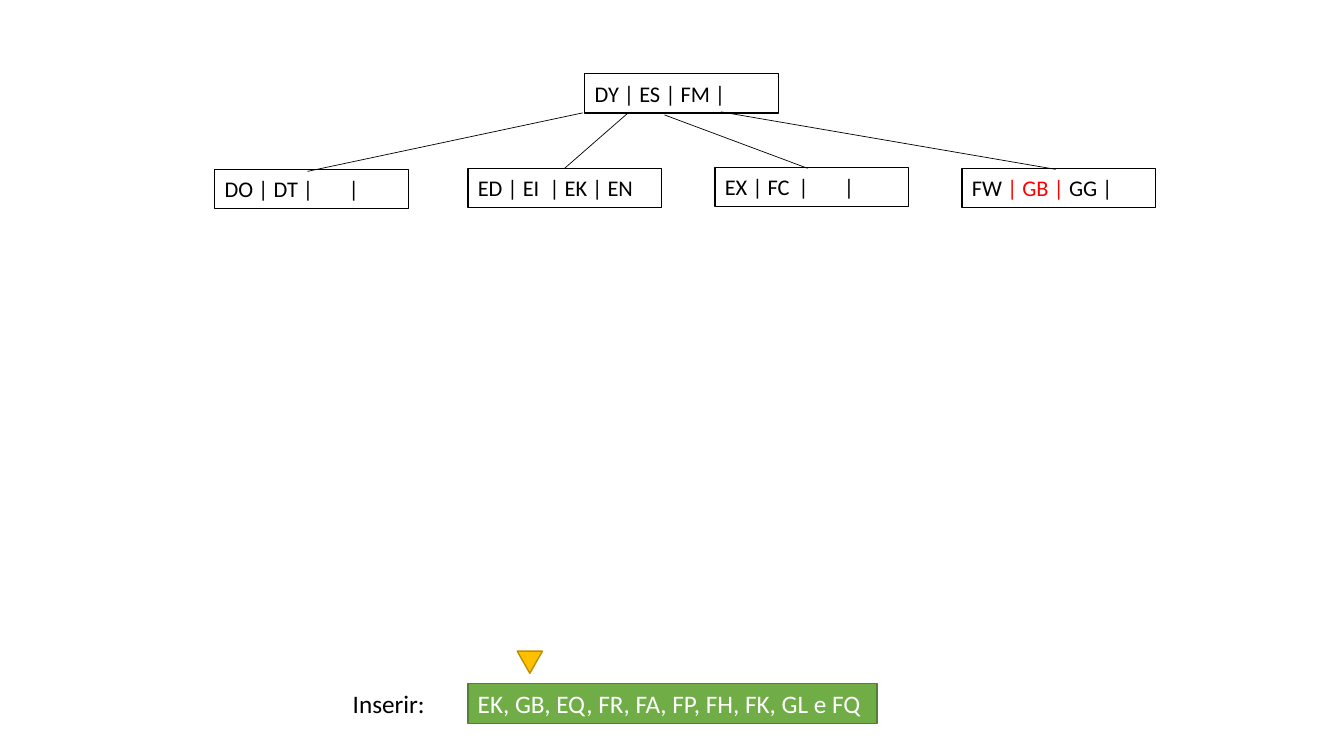
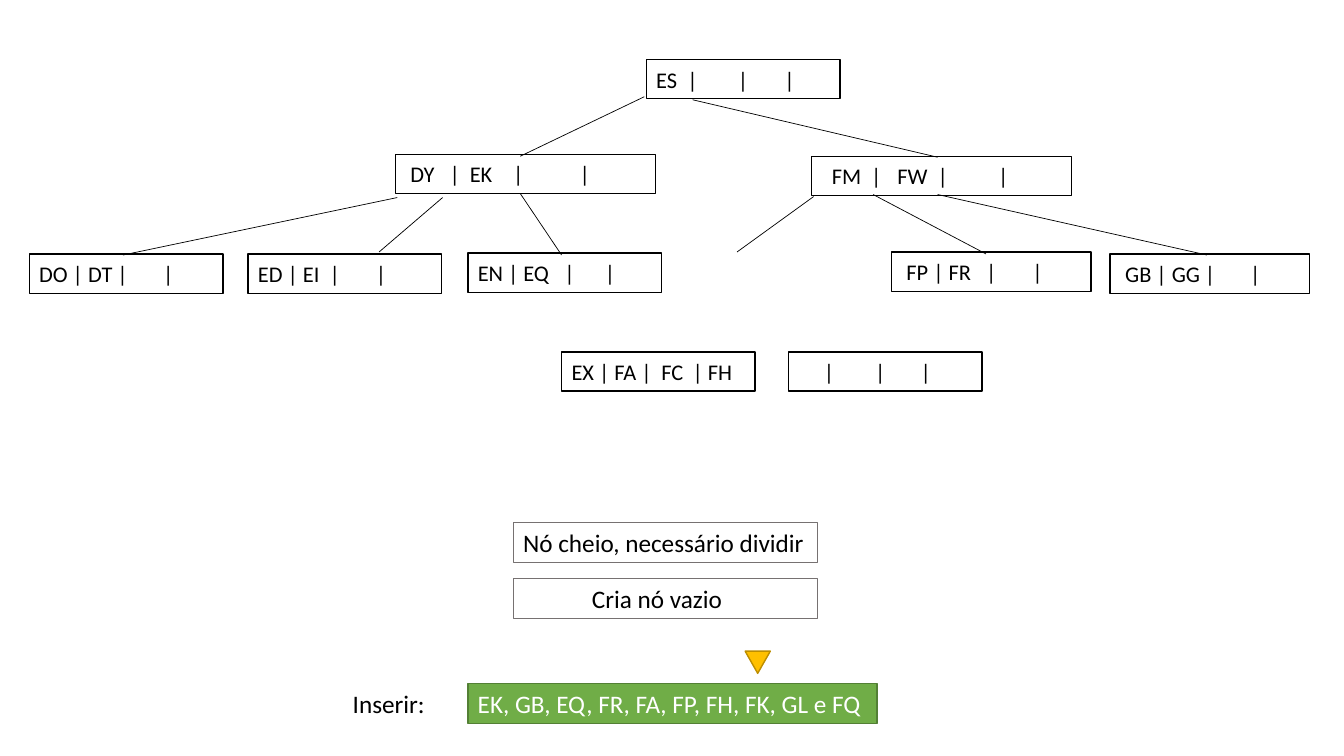
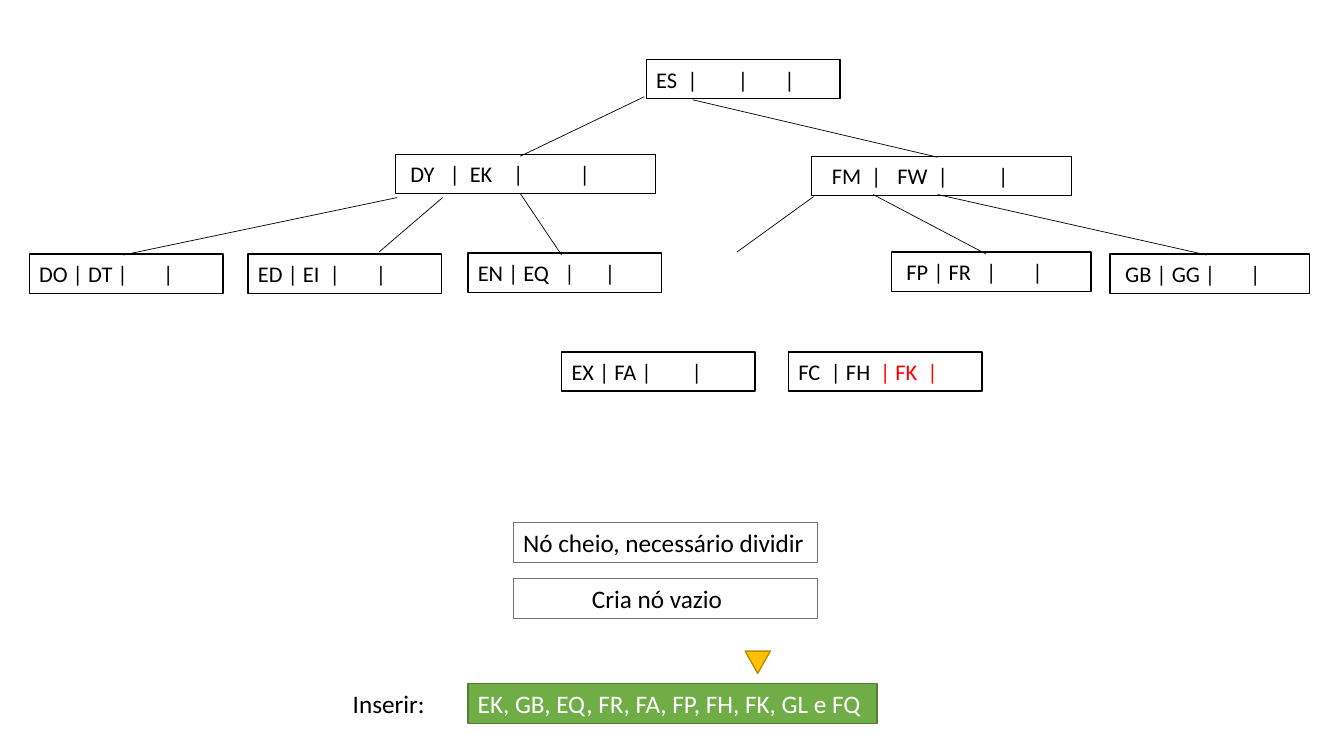
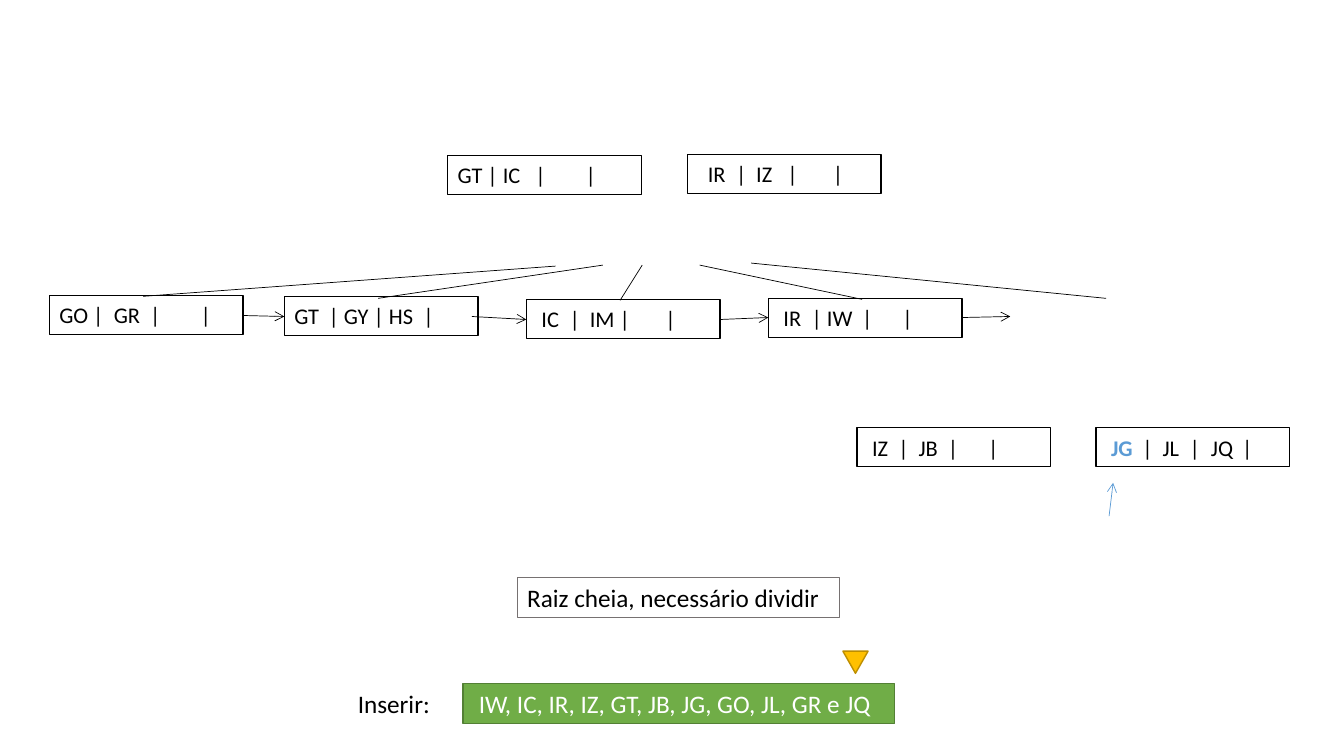
from pptx import Presentation
from pptx.dml.color import RGBColor
from pptx.enum.shapes import MSO_CONNECTOR, MSO_SHAPE
from pptx.enum.text import MSO_ANCHOR, PP_ALIGN
from pptx.oxml.ns import qn
from pptx.util import Emu, Pt
from lxml.etree import SubElement

PX = 9144  # 100 px to the inch
FONT = "Calibri"
BLACK, WHITE, RED, BLUE = "000000", "FFFFFF", "FF0000", "5B9BD5"
GREEN, DARK_GREEN = "70AD47", "538035"
AMBER, DARK_AMBER, GREY = "FFC000", "BD8E00", "767171"
NODE_HEIGHT, BAR_HEIGHT, INSET = 39, 40, 10
BAR_TOP, MARKER_TOP = 678, 646

# Node: left, top, width, text, indent, tab stops, optional (highlighted part, colour, bold)
# Edge: x1, y1, x2, y2
FIRST_KEYS = {"text": "EK, GB, EQ, FR, FA, FP, FH, FK, GL e FQ",
              "left": 464, "width": 406, "indent": 0, "label_left": 340}
LAST_KEYS = {"text": "IW, IC, IR, IZ, GT, JB, JG, GO, JL, GR e JQ",
             "left": 459, "width": 428, "indent": 6, "label_left": 345}

SPLIT_NODES = [
    (641, 59, 192, "ES\t|\t|\t|", 0, (31, 81, 127)),
    (392, 153, 258, "DY\t|\tEK\t|\t|", 5, (39, 59, 102, 168)),
    (805, 155, 258, "FM\t|\tFW\t|\t|", 10, (39, 65, 105, 165)),
    (29, 252, 192, "DO | DT |\t|", 0, (123,)),
    (246, 252, 192, "ED | EI\t|\t|", 0, (71, 117)),
    (464, 251, 192, "EN | EQ\t|\t|", 0, (86, 126)),
    (884, 250, 198, "FP | FR\t|\t|", 5, (79, 125)),
    (1101, 252, 198, "GB | GG |\t|", 5, (124,)),
]
SPLIT_EDGES = [
    (639, 96, 516, 155), (687, 99, 930, 156),
    (394, 196, 122, 253), (439, 196, 376, 250), (516, 192, 557, 253),
    (807, 195, 731, 250), (866, 193, 978, 252), (930, 193, 1197, 253),
]
SPLIT_NOTES = [
    (509, 518, 302, "Nó cheio, necessário dividir", 0),
    (509, 574, 302, "Cria nó vazio", 68),
]

SLIDES = [
    {"keys": FIRST_KEYS, "marker": 513,
     "nodes": [
         (580, 73, 192, "DY | ES | FM |", 0, ()),
         (213, 168, 192, "DO | DT |\t|", 0, (123,)),
         (464, 167, 192, "ED | EI\t| EK | EN", 0, (71,)),
         (709, 166, 192, "EX | FC\t|\t|", 0, (73, 118)),
         (954, 167, 192, "FW | GB | GG |", 0, (), ("| GB |", RED, False)),
     ],
     "edges": [(578, 112, 305, 170), (623, 112, 560, 167),
               (659, 114, 801, 167), (715, 111, 1047, 168)]},
    {"keys": FIRST_KEYS, "marker": 739,
     "nodes": SPLIT_NODES + [
         (557, 349, 192, "EX | FA |\tFC\t| FH", 0, (89, 120)),
         (782, 349, 192, "|\t|\t|", 25, (51, 96)),
     ],
     "edges": SPLIT_EDGES, "notes": SPLIT_NOTES},
    {"keys": FIRST_KEYS, "marker": 739,
     "nodes": SPLIT_NODES + [
         (557, 349, 192, "EX | FA |\t|", 0, (119,)),
         (782, 349, 192, "FC\t| FH\t| FK\t|", 0, (32, 81, 128), ("| FK\t|", RED, False)),
     ],
     "edges": SPLIT_EDGES, "notes": SPLIT_NOTES},
    {"keys": LAST_KEYS, "marker": 836,
     "nodes": [
         (444, 154, 192, "GT | IC\t|\t|", 0, (77, 127)),
         (682, 153, 192, "IR\t|\tIZ\t|\t|", 10, (28, 48, 79, 124)),
         (49, 293, 192, "GO |\tGR\t|\t|", 0, (54, 90, 140)),
         (282, 294, 192, "GT\t| GY | HS\t|", 0, (34, 128)),
         (522, 297, 192, "IC\t|\tIM |\t|", 5, (28, 48, 123)),
         (762, 296, 192, "IR\t| IW\t|\t|", 5, (28, 78, 118)),
         (850, 424, 192, "IZ\t|\tJB\t|\t|", 5, (26, 46, 75, 115)),
         (1087, 424, 192, "JG\t|\tJL\t|\tJQ\t|", 5, (31, 51, 78, 99, 130),
          ("JG", BLUE, True)),
     ],
     "edges": [(551, 264, 142, 294), (598, 263, 375, 296), (637, 263, 615, 298),
               (694, 263, 855, 297), (745, 261, 1097, 296)],
     "arrows": [(241, 313, 282, 314, BLACK), (468, 314, 522, 317, BLACK),
                (714, 317, 762, 315, BLACK), (954, 315, 1002, 314, BLACK),
                (1100, 512, 1104, 479, BLUE)],
     "notes": [(513, 573, 320, "Raiz cheia, necessário dividir", 0)]},
]


def px(*lengths):
    return [Emu(length * PX) for length in lengths]


def color(hex_value):
    return RGBColor.from_string(hex_value)


def write(shape, text, size, text_color, indent=0, stops=(), highlight=("", None, False)):
    """Set one line of text with tab stops and an optional highlighted part."""
    frame = shape.text_frame
    frame.word_wrap = True
    frame.vertical_anchor = MSO_ANCHOR.MIDDLE
    frame.margin_left, frame.margin_right = px(INSET + indent, 0)
    paragraph = frame.paragraphs[0]
    paragraph.alignment = PP_ALIGN.LEFT
    if stops:
        tab_list = SubElement(paragraph._p.get_or_add_pPr(), qn("a:tabLst"))
        for stop in stops:
            SubElement(tab_list, qn("a:tab"), pos=str(stop * PX), algn="l")
    part, part_color, part_bold = highlight
    before, part, after = text.partition(part) if part else (text, "", "")
    for piece, piece_color, bold in ((before, text_color, False),
                                     (part, part_color, part_bold),
                                     (after, text_color, False)):
        if piece:
            run = paragraph.add_run()
            run.text = piece
            run.font.name, run.font.size, run.font.bold = FONT, Pt(size), bold
            run.font.color.rgb = color(piece_color)


def add_box(slide, left, top, width, height, fill, line, weight=1, kind=MSO_SHAPE.RECTANGLE):
    shape = slide.shapes.add_shape(kind, *px(left, top, width, height))
    shape.shadow.inherit = False
    if fill:
        shape.fill.solid()
        shape.fill.fore_color.rgb = color(fill)
    else:
        shape.fill.background()
    shape.line.color.rgb = color(line)
    shape.line.width = Pt(weight)
    return shape


def add_line(slide, x1, y1, x2, y2, line_color=BLACK, arrow=False):
    connector = slide.shapes.add_connector(MSO_CONNECTOR.STRAIGHT, *px(x1, y1, x2, y2))
    connector.line.color.rgb = color(line_color)
    connector.line.width = Pt(0.5)
    if arrow:
        SubElement(connector.line._get_or_add_ln(), qn("a:tailEnd"), type="arrow")
    SubElement(connector._element.spPr, qn("a:effectLst"))


def add_key_bar(slide, keys, marker_left):
    """Draw the list of keys to insert, its label and the marker of the current key."""
    bar = add_box(slide, keys["left"], BAR_TOP, keys["width"], BAR_HEIGHT, GREEN, DARK_GREEN)
    write(bar, keys["text"], 18, WHITE, keys["indent"])
    label = slide.shapes.add_textbox(*px(keys["label_left"], BAR_TOP, 99, BAR_HEIGHT))
    write(label, "Inserir:", 18, BLACK)
    add_box(slide, marker_left, MARKER_TOP, 25, 22, AMBER, DARK_AMBER,
            kind=MSO_SHAPE.FLOWCHART_MERGE)


def main():
    presentation = Presentation()
    presentation.slide_width, presentation.slide_height = px(1333, 750)
    for content in SLIDES:
        slide = presentation.slides.add_slide(presentation.slide_layouts[6])
        add_key_bar(slide, content["keys"], content["marker"])
        for left, top, width, text, *style in content["nodes"]:
            node = add_box(slide, left, top, width, NODE_HEIGHT, WHITE, BLACK)
            write(node, text, 16, BLACK, *style)
        for edge in content["edges"]:
            add_line(slide, *edge)
        for arrow in content.get("arrows", []):
            add_line(slide, *arrow, arrow=True)
        for left, top, width, text, indent in content.get("notes", []):
            note = add_box(slide, left, top, width, BAR_HEIGHT, None, GREY, 0.75)
            write(note, text, 18, BLACK, indent)
    presentation.save("out.pptx")


if __name__ == "__main__":
    main()
